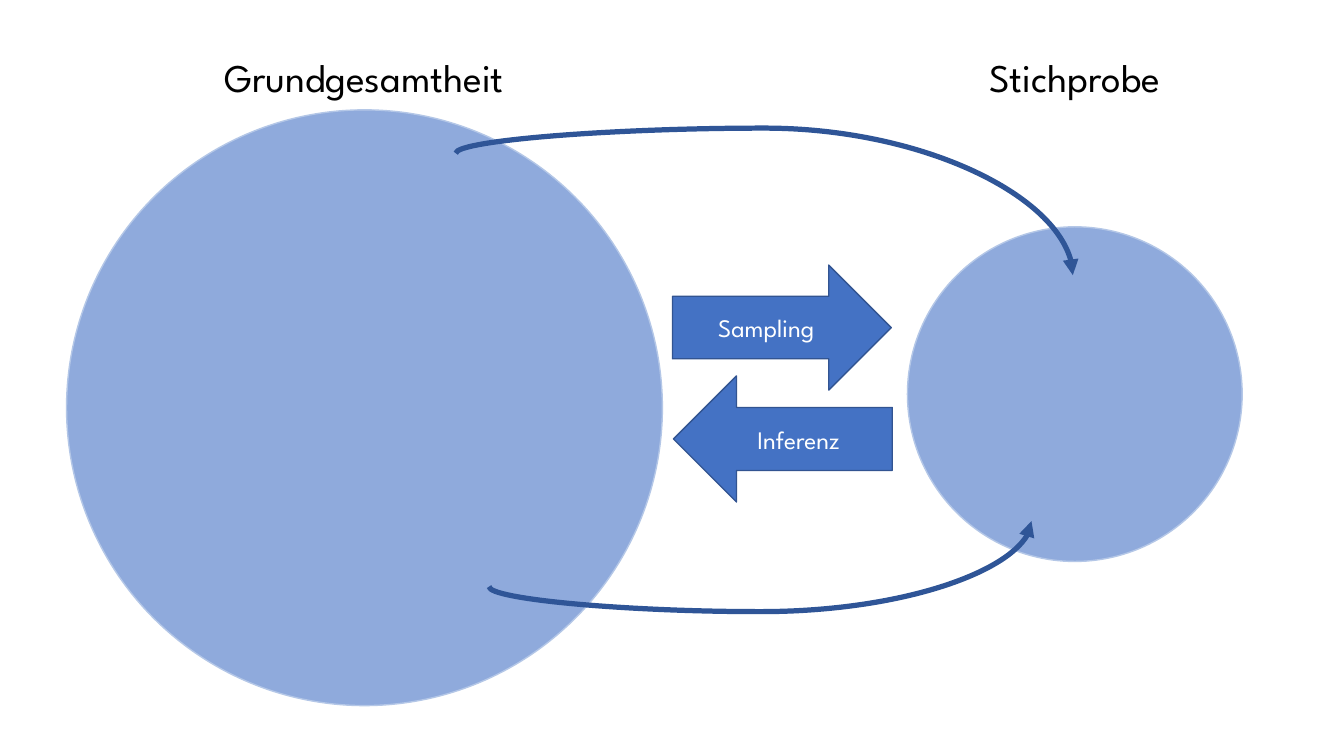
import pptx
import pptx.dml.color
import pptx.enum.shapes
import pptx.enum.text
import pptx.oxml
import pptx.oxml.ns
import pptx.util

EMU_PER_PX = 9144
FONT = "League Spartan"
COLORS = {
    "circle": "8FAADC",
    "circle_line": "B4C7E7",
    "arrow": "4472C4",
    "arrow_line": "325491",
    "curve": "2F5597",
    "title": "000000",
    "arrow_text": "FFFFFF",
}
SHAPES = pptx.enum.shapes.MSO_SHAPE


def px(length):
    return pptx.util.Emu(round(length * EMU_PER_PX))


def color(name):
    return pptx.dml.color.RGBColor.from_string(COLORS[name])


def write(frame, text, *, size, ink):
    frame.vertical_anchor = pptx.enum.text.MSO_ANCHOR.MIDDLE
    para = frame.paragraphs[0]
    para.alignment = pptx.enum.text.PP_ALIGN.CENTER
    span = para.add_run()
    span.text = text
    span.font.name = FONT
    span.font.size = pptx.util.Pt(size)
    span.font.color.rgb = color(ink)


def add_figure(page, kind, left, top, width, height, *, fill, line):
    figure = page.shapes.add_shape(kind, px(left), px(top), px(width), px(height))
    figure.shadow.inherit = False
    figure.fill.solid()
    figure.fill.fore_color.rgb = color(fill)
    figure.line.color.rgb = color(line)
    figure.line.width = pptx.util.Pt(1)
    return figure


def add_circle(page, left, top, diameter):
    add_figure(page, SHAPES.OVAL, left, top, diameter, diameter,
               fill="circle", line="circle_line")


def add_block_arrow(page, kind, text, left, top, width, height):
    arrow = add_figure(page, kind, left, top, width, height,
                       fill="arrow", line="arrow_line")
    write(arrow.text_frame, text, size=18, ink="arrow_text")


def add_title(page, text, left, top, width, height):
    box = page.shapes.add_textbox(px(left), px(top), px(width), px(height))
    box.text_frame.word_wrap = False
    box.text_frame.auto_size = pptx.enum.text.MSO_AUTO_SIZE.SHAPE_TO_FIT_TEXT
    write(box.text_frame, text, size=28, ink="title")


def add_curve(page, start, end, bend):
    center_x = (start[0] + end[0]) / 2
    center_y = (start[1] + end[1]) / 2
    half_width = abs(end[1] - start[1]) / 2
    half_height = (end[0] - start[0]) / 2
    falling = end[1] > start[1]
    if not falling:
        half_height = -half_height
    curve = page.shapes.add_connector(
        pptx.enum.shapes.MSO_CONNECTOR.CURVE,
        px(center_x + half_width), px(center_y - half_height),
        px(center_x - half_width), px(center_y + half_height))
    curve.line.color.rgb = color("curve")
    curve.line.width = pptx.util.Pt(3.75)
    qn = pptx.oxml.ns.qn
    properties = curve._element.spPr
    turn = 270 if falling else 90
    properties.find(qn("a:xfrm")).set("rot", str(turn * 60000))
    guides = properties.find(qn("a:prstGeom")).find(qn("a:avLst"))
    guide = guides.makeelement(qn("a:gd"), {"name": "adj1", "fmla": f"val {bend}"})
    guides.append(guide)
    line = properties.find(qn("a:ln"))
    line.append(line.makeelement(qn("a:tailEnd"), {"type": "triangle"}))
    properties.append(properties.makeelement(qn("a:effectLst"), {}))


def main():
    deck = pptx.Presentation()
    deck.slide_width, deck.slide_height = px(1333), px(750)
    page = deck.slides.add_slide(deck.slide_layouts[6])
    add_circle(page, 66, 109, 591)
    add_circle(page, 900, 225, 332)
    add_title(page, "Grundgesamtheit", 198, 48, 326, 57)
    add_title(page, "Stichprobe", 960, 48, 212, 57)
    add_block_arrow(page, SHAPES.RIGHT_ARROW, "Sampling", 667, 263, 217, 124)
    add_block_arrow(page, SHAPES.LEFT_ARROW, "Inferenz", 668, 373, 217, 125)
    add_curve(page, (452, 152), (1064, 273), -20600)
    add_curve(page, (485, 582), (1023, 517), -38200)
    deck.save("out.pptx")


if __name__ == "__main__":
    main()
